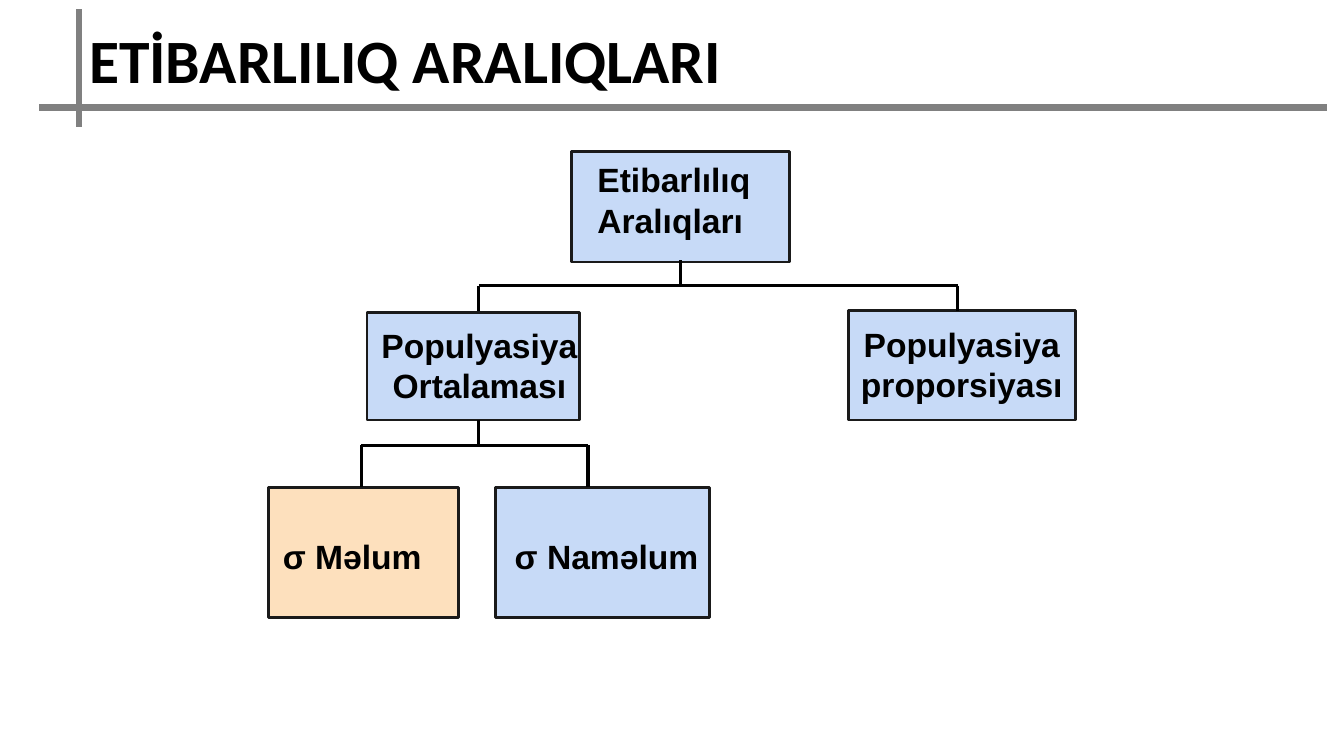
from lxml.etree import SubElement
from pptx import Presentation
from pptx.dml.color import RGBColor
from pptx.enum.shapes import MSO_CONNECTOR, MSO_SHAPE
from pptx.enum.text import MSO_ANCHOR, PP_ALIGN
from pptx.oxml.ns import qn
from pptx.util import Inches, Pt

COLORS = {
    "ink": "000000",
    "rule": "808080",
    "edge": "1A1A1A",
    "blue": "C7DAF7",
    "peach": "FDE0BD",
}
COLS, ROWS = 160, 90


def unit(n):
    """Length of n grid steps, twelve to the inch."""
    return Inches(n / 12)


def tint(name):
    return RGBColor.from_string(COLORS[name])


def write(par, text, font, size):
    run = par.add_run()
    run.text = text
    run.font.name = font
    run.font.size = Pt(size)
    run.font.bold = True
    run.font.color.rgb = tint("ink")


def head(slide, text):
    title = slide.shapes.title
    title.left, title.top = unit(9.4), unit(2)
    title.width, title.height = unit(COLS - 9.4), unit(10.1)
    frame = title.text_frame
    frame.vertical_anchor = MSO_ANCHOR.MIDDLE
    par = frame.paragraphs[0]
    par.alignment = PP_ALIGN.LEFT
    write(par, text, "Calibri", 44)


def line(slide, x1, y1, x2, y2, color="ink", width=2.25):
    link = slide.shapes.add_connector(
        MSO_CONNECTOR.STRAIGHT, unit(x1), unit(y1), unit(x2), unit(y2))
    link.line.color.rgb = tint(color)
    link.line.width = Pt(width)
    SubElement(link._element.spPr, qn("a:effectLst"))


def node(slide, area, lines, inset, fill="blue", align=PP_ALIGN.LEFT):
    """Box over area (left, top, right, bottom); inset is left, top in inches."""
    left, top, right, bottom = area
    box = slide.shapes.add_shape(
        MSO_SHAPE.RECTANGLE, unit(left), unit(top),
        unit(right - left), unit(bottom - top))
    box.shadow.inherit = False
    box.fill.solid()
    box.fill.fore_color.rgb = tint(fill)
    box.line.color.rgb = tint("edge")
    box.line.width = Pt(2)
    frame = box.text_frame
    frame.word_wrap = False
    frame.vertical_anchor = MSO_ANCHOR.TOP
    frame.margin_left, frame.margin_top = map(Inches, inset)
    frame.margin_right = frame.margin_bottom = 0
    for i, text in enumerate(lines):
        par = frame.add_paragraph() if i else frame.paragraphs[0]
        par.alignment = align
        write(par, text, "Arial", 24)


def branch(slide, stem, top, bar, ends, base):
    """Stem down to a bar, then a drop to each end."""
    line(slide, stem, top, stem, bar)
    line(slide, ends[0], bar, ends[-1], bar)
    for end in ends:
        line(slide, end, bar, end, base)


def main():
    deck = Presentation()
    deck.slide_width, deck.slide_height = unit(COLS), unit(ROWS)
    slide = deck.slides.add_slide(deck.slide_layouts[5])

    head(slide, "ETİBARLILIQ ARALIQLARI")
    line(slide, 4.7, 12.8, 158, 12.8, "rule", 4.5)
    line(slide, 9.4, 1.1, 9.4, 15.1, "rule", 4.5)

    node(slide, (68, 18, 94, 31.2), ["Etibarlılıq", "Aralıqları"], (0.26, 0.08))
    node(slide, (43.7, 37.2, 69, 50), ["Populyasiya", "Ortalaması"],
         (0.12, 0.12), align=PP_ALIGN.CENTER)
    node(slide, (101, 37, 128, 50), ["Populyasiya", "proporsiyası"],
         (0, 0.13), align=PP_ALIGN.CENTER)
    node(slide, (32, 58, 54.6, 73.5), ["σ Məlum"], (0.14, 0.48), "peach")
    node(slide, (59, 58, 84.5, 73.5), ["σ Naməlum"], (0.19, 0.48))

    branch(slide, 81, 31, 34, (57, 114), 37)
    branch(slide, 57, 50, 53, (43, 70), 58)
    deck.save("out.pptx")


if __name__ == "__main__":
    main()
